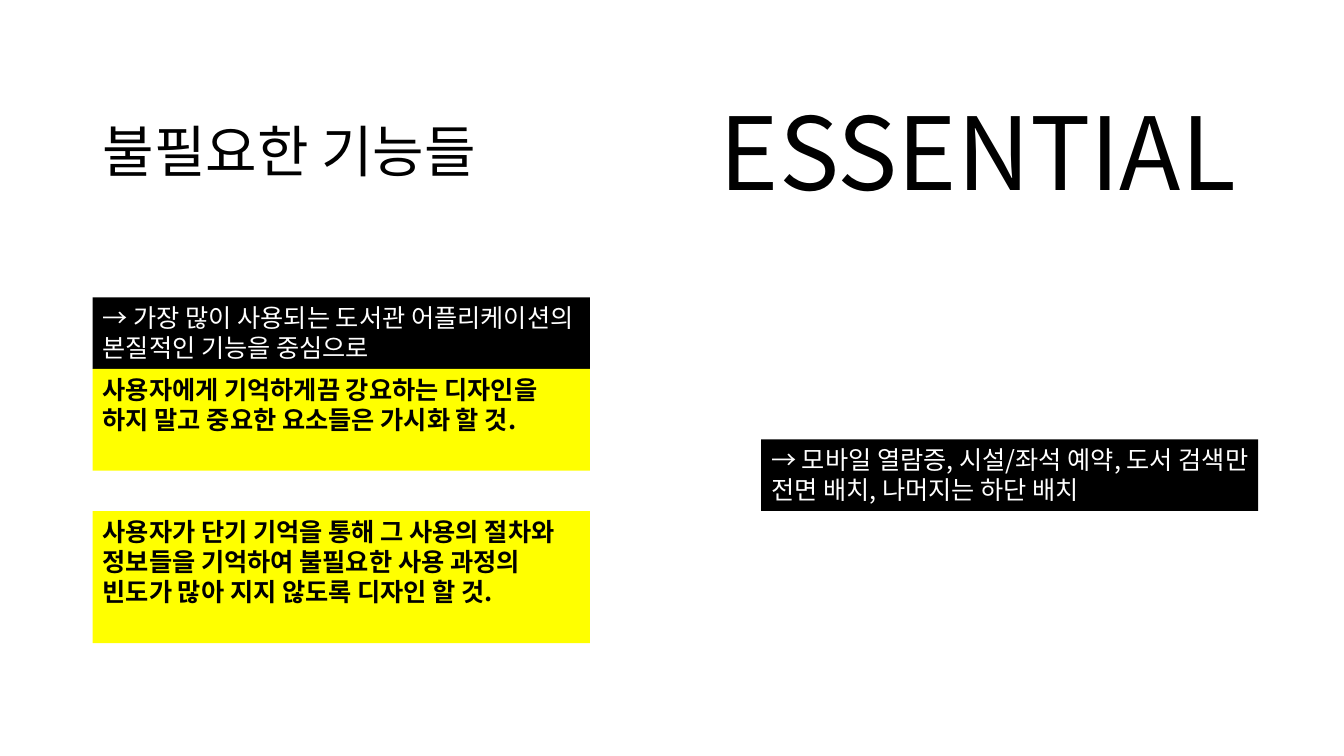
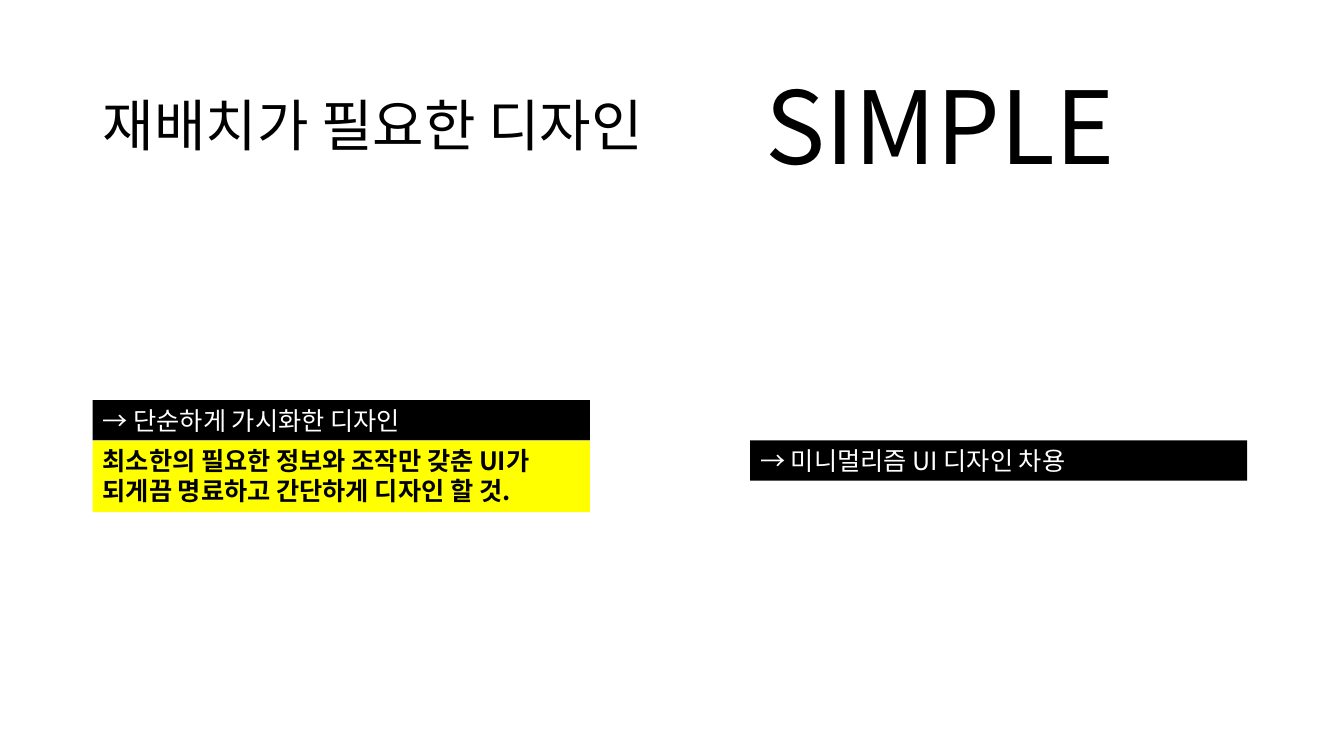
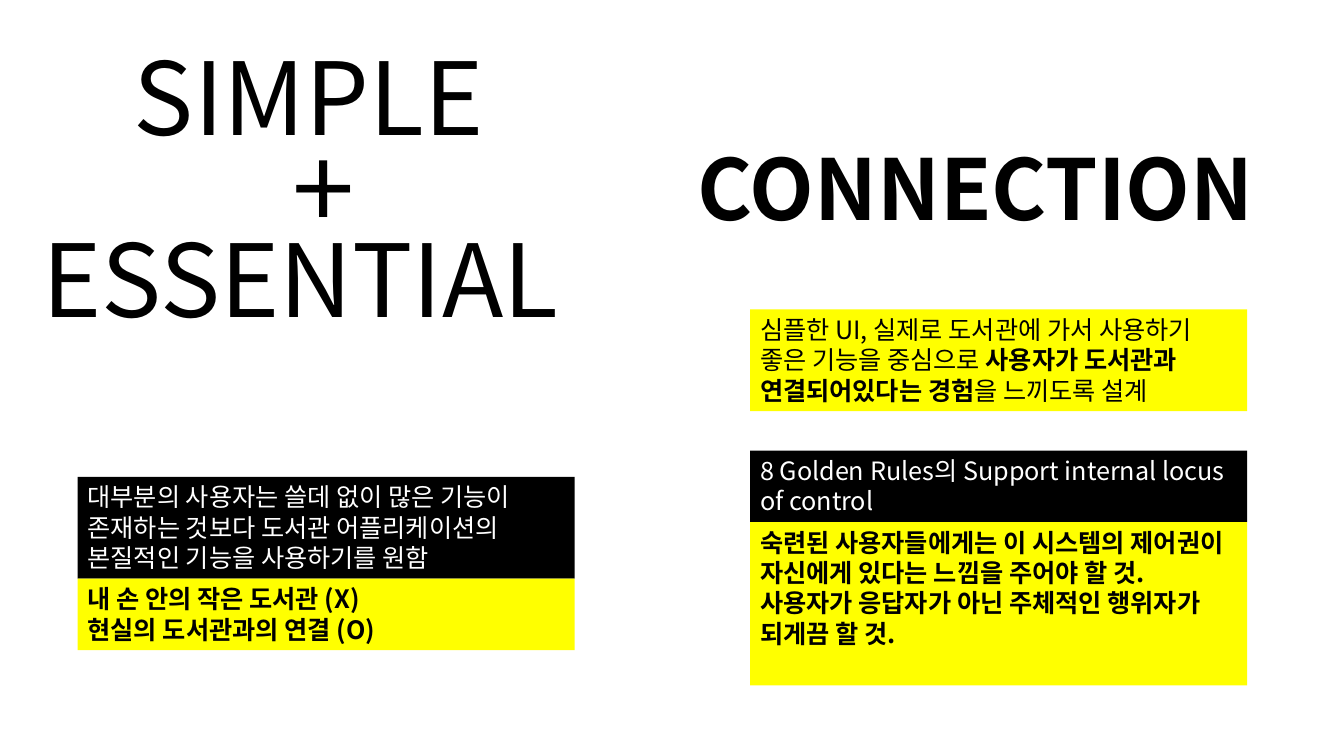
import pptx
import pptx.dml.color
import pptx.enum.shapes
import pptx.enum.text
import pptx.oxml.ns
import pptx.util
from lxml import etree

BLACK = pptx.dml.color.RGBColor(0x00, 0x00, 0x00)
WHITE = pptx.dml.color.RGBColor(0xFF, 0xFF, 0xFF)
YELLOW = pptx.dml.color.RGBColor(0xFF, 0xFF, 0x00)
EMU_PER_PX = 9144
FONT = "Noto Sans CJK KR"


def px(*lengths):
    return [pptx.util.Emu(length * EMU_PER_PX) for length in lengths]


class Deck:
    band_width = 493
    band_padding = 10
    line_height = 30.3
    band_size = 18
    heading_size = 40
    keyword_size = 72

    def __init__(self):
        self.presentation = pptx.Presentation()
        self.presentation.slide_width, self.presentation.slide_height = px(1333, 750)
        self.slide = None

    def new_slide(self):
        self.slide = self.presentation.slides.add_slide(self.presentation.slide_layouts[5])

    def set_text(self, shape, paragraphs, size, color=BLACK, bold=False):
        frame = shape.text_frame
        frame.word_wrap = True
        frame.auto_size = pptx.enum.text.MSO_AUTO_SIZE.NONE
        frame.vertical_anchor = pptx.enum.text.MSO_ANCHOR.TOP
        for index, text in enumerate(paragraphs):
            paragraph = frame.add_paragraph() if index else frame.paragraphs[0]
            paragraph.alignment = pptx.enum.text.PP_ALIGN.LEFT
            font = paragraph.font
            font.name = FONT
            font.size = pptx.util.Pt(size)
            font.bold = bold
            font.color.rgb = color
            properties = paragraph._p.pPr.find(pptx.oxml.ns.qn("a:defRPr"))
            etree.SubElement(properties, pptx.oxml.ns.qn("a:ea"), typeface=FONT)
            for part, words in enumerate(text.split("**")):
                run = paragraph.add_run()
                run.text = words
                if part % 2:
                    run.font.bold = True

    def title(self, text, left, top, width, height, size=heading_size, bold=False):
        heading = self.slide.shapes.title
        heading.left, heading.top, heading.width, heading.height = px(left, top, width, height)
        self.set_text(heading, [text], size, bold=bold)

    def keyword(self, text, left, top, width, height=131, size=keyword_size):
        label = self.slide.shapes.add_textbox(*px(left, top, width, height))
        self.set_text(label, [text], size)

    def band(self, left, top, lines, paragraphs, fill, color, bold):
        height = round(self.band_padding + lines * self.line_height)
        band = self.slide.shapes.add_shape(
            pptx.enum.shapes.MSO_SHAPE.RECTANGLE, *px(left, top, self.band_width, height))
        band.shadow.inherit = False
        band.fill.solid()
        band.fill.fore_color.rgb = fill
        band.line.fill.background()
        self.set_text(band, paragraphs, self.band_size, color, bold)
        return top + height

    def statement(self, left, top, lines, text):
        return self.band(left, top, lines, [text], BLACK, WHITE, False)

    def guideline(self, left, top, lines, *paragraphs, bold=True):
        return self.band(left, top, lines, paragraphs, YELLOW, BLACK, bold)


def essential(deck):
    deck.new_slide()
    deck.title("불필요한 기능들", 92, 111, 393, 77)
    deck.keyword("ESSENTIAL", 704, 84, 596)
    bottom = deck.statement(92, 295, 2, "→ 가장 많이 사용되는 도서관 어플리케이션의 본질적인 기능을 중심으로")
    bottom = deck.guideline(
        92, bottom, 3, "사용자에게 기억하게끔 강요하는 디자인을 하지 말고 중요한 요소들은 가시화 할 것.")
    deck.guideline(
        92, bottom + 40, 4,
        "사용자가 단기 기억을 통해 그 사용의 절차와 정보들을 기억하여 불필요한 사용 과정의 빈도가 많아 지지 않도록 디자인 할 것.")
    deck.statement(755, 436, 2, "→ 모바일 열람증, 시설/좌석 예약, 도서 검색만 전면 배치, 나머지는 하단 배치")


def simple(deck):
    deck.new_slide()
    deck.title("재배치가 필요한 디자인", 92, 85, 564, 77)
    deck.keyword("SIMPLE", 749, 58, 402)
    bottom = deck.statement(92, 397, 1, "→ 단순하게 가시화한 디자인")
    deck.guideline(
        92, bottom, 2, "최소한의 필요한 정보와 조작만 갖춘 UI가", "되게끔 명료하고 간단하게 디자인 할 것.")
    deck.statement(744, bottom, 1, "→ 미니멀리즘 UI 디자인 차용")


def connection(deck):
    deck.new_slide()
    deck.title("CONNECTION", 682, 130, 610, 111, size=60, bold=True)
    deck.keyword("SIMPLE", 123, 29, 402)
    deck.keyword("+", 280, 113, 99, 145, size=80)
    deck.keyword("ESSENTIAL", 32, 210, 596)
    bottom = deck.statement(
        77, 473, 3, "대부분의 사용자는 쓸데 없이 많은 기능이 존재하는 것보다 도서관 어플리케이션의 본질적인 기능을 사용하기를 원함")
    deck.guideline(77, bottom, 2, "내 손 안의 작은 도서관 (X)", "현실의 도서관과의 연결 (O)")
    deck.guideline(
        744, 307, 3,
        "심플한 UI, 실제로 도서관에 가서 사용하기 좋은 기능을 중심으로 **사용자가 도서관과 연결되어있다는 경험**을 느끼도록 설계",
        bold=False)
    bottom = deck.statement(744, 447, 2, "8 Golden Rules의 Support internal locus of control")
    deck.guideline(
        744, bottom, 5,
        "숙련된 사용자들에게는 이 시스템의 제어권이 자신에게 있다는 느낌을 주어야 할 것.",
        "사용자가 응답자가 아닌 주체적인 행위자가 되게끔 할 것.")


def main():
    deck = Deck()
    for build in (essential, simple, connection):
        build(deck)
    deck.presentation.save("out.pptx")


if __name__ == "__main__":
    main()
